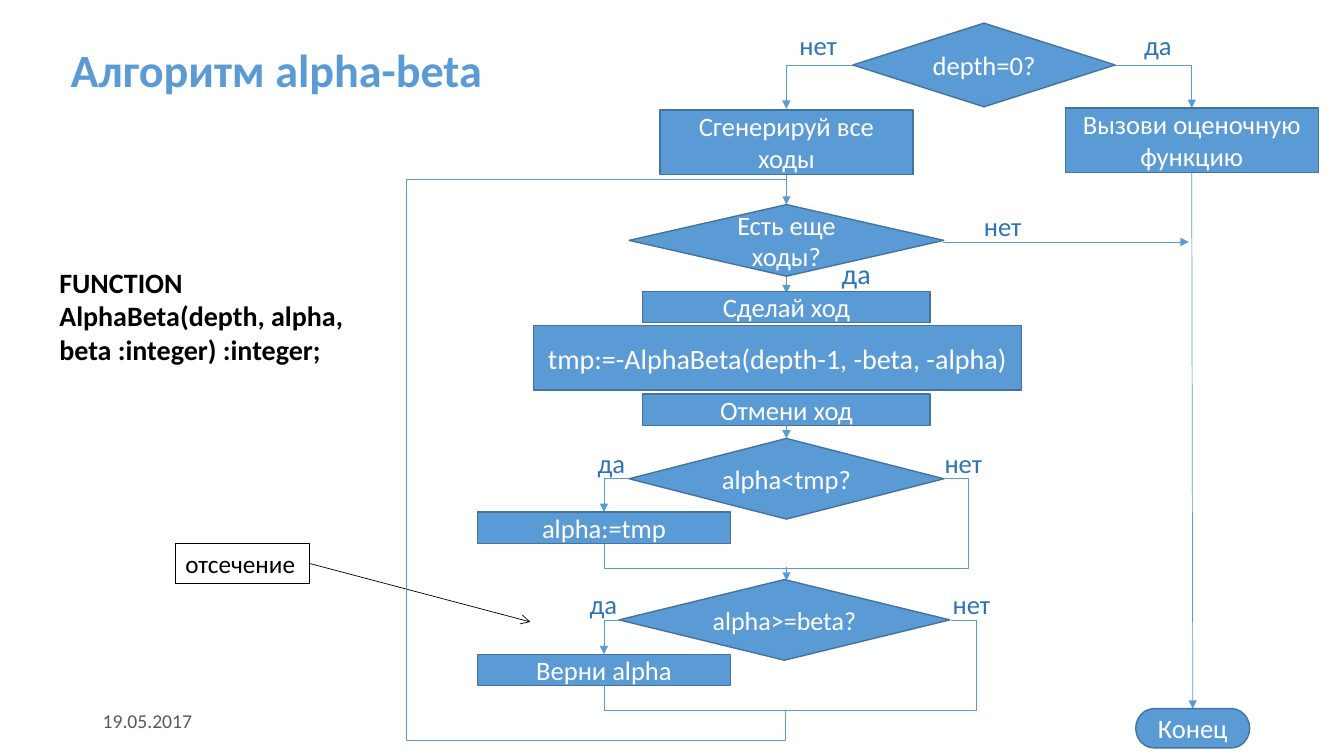
from pptx import Presentation
from pptx.dml.color import RGBColor
from pptx.enum.shapes import MSO_CONNECTOR, MSO_SHAPE
from pptx.enum.text import MSO_ANCHOR, MSO_AUTO_SIZE, PP_ALIGN
from pptx.oxml.ns import qn
from pptx.oxml.xmlchemy import OxmlElement
from pptx.util import Inches, Pt

COLORS = {"accent": "5B9BD5", "edge": "43739E", "answer": "2E75B6",
          "ink": "000000", "date": "595959", "paper": "FFFFFF"}
CELL = Inches(0.1)
TRUNK, BRANCH, EXIT, START = 78, 59.9, 118.2, 97.6
TURN = 2.5

DECISION = MSO_SHAPE.FLOWCHART_DECISION
PROCESS = MSO_SHAPE.FLOWCHART_PROCESS
TERMINATOR = MSO_SHAPE.FLOWCHART_TERMINATOR

STEPS = [
    (DECISION, "depth=0?", START, 2.3, 26, 8.3, 19),
    (PROCESS, "Вызови оценочную функцию", EXIT, 10.7, 25.1, 6.4, 19),
    (PROCESS, "Сгенерируй все ходы", TRUNK, 10.9, 25.1, 6.4, 19),
    (DECISION, "Есть еще ходы?", TRUNK, 20.3, 31.2, 7.1, 19),
    (PROCESS, "Сделай ход", TRUNK, 28.9, 28.5, 3.1, 19),
    (PROCESS, "tmp:=-AlphaBeta(depth-1, -beta, -alpha)", 77.1, 32.3, 48.4, 6.4, 20),
    (PROCESS, "Отмени ход", TRUNK, 39.1, 28.5, 3.1, 19),
    (DECISION, "alpha<tmp?", TRUNK, 43.5, 31.2, 8, 19),
    (PROCESS, "alpha:=tmp", BRANCH, 50.8, 25.1, 3.1, 19),
    (DECISION, "alpha>=beta?", 77.8, 57.5, 32.8, 8, 18.6),
    (PROCESS, "Верни alpha", BRANCH, 64.9, 25.1, 3.1, 19),
    (TERMINATOR, "Конец", 118.3, 70.3, 11.3, 3.9, 19),
]
ANSWERS = [
    ("нет", 78.3, 2.4, 19), ("да", 112.5, 2.4, 19),
    ("нет", 96.6, 20.3, 19), ("да", 82.5, 25, 20),
    ("да", 58.3, 43.8, 19), ("нет", 92.7, 43.8, 19),
    ("да", 57.5, 57.8, 19), ("нет", 93.5, 57.8, 19),
]
ARROWS = [
    ((TRUNK, 17.2), (TRUNK, 20.3)),
    ((TRUNK, 27.3), (TRUNK, 29.1)),
    ((TRUNK, 42.2), (TRUNK, 43.5)),
    ((TRUNK, 56.3), (TRUNK, 57.6)),
    ((93.5, 24), (117.9, 24)),
    ((EXIT, 17.1), (118.3, 70.3)),
]
CORNERS = [
    ((110.5, 6.5), (EXIT, 10.7)),
    ((84.6, 6.5), (TRUNK, 10.8)),
    ((62.4, 47.5), (BRANCH, 50.8)),
    ((61.4, 61.5), (BRANCH, 64.9)),
]
BYPASSES = [((93.6, 47.5), (BRANCH, 53.9)), ((94.3, 61.5), (BRANCH, 68))]
LOOP = [(77.9, 70.4), (77.9, 73.5), (40.3, 73.5), (40.3, 17.8),
        (TRUNK, 17.8), (TRUNK, 20.3)]


def cells(*values):
    return [round(value * CELL) for value in values]


def color(name):
    return RGBColor.from_string(COLORS[name])


def apply_format(target, values):
    for attribute, value in values.items():
        setattr(target, attribute, value)


def write(shape, text, size, ink, frame_format, align=PP_ALIGN.LEFT, bold=False):
    frame = shape.text_frame
    frame.text = text
    apply_format(frame, {"word_wrap": True, **frame_format})
    paragraph = frame.paragraphs[0]
    paragraph.alignment = align
    apply_format(paragraph.font, {"name": "Calibri", "size": Pt(size), "bold": bold})
    paragraph.font.color.rgb = color(ink)


def draw_line(shape, ink, width):
    shape.line.color.rgb = color(ink)
    shape.line.width = Pt(width)


def add_text(slide, text, box, size, ink, frame_format, bold=False):
    label = slide.shapes.add_textbox(*cells(*box))
    write(label, text, size, ink, frame_format, bold=bold)
    return label


def add_step(slide, kind, text, center, top, width, height, size):
    step = slide.shapes.add_shape(kind, *cells(center - width / 2, top, width, height))
    step.shadow.inherit = False
    step.fill.solid()
    step.fill.fore_color.rgb = color("accent")
    draw_line(step, "edge", 1)
    write(step, text, size, "paper", {"vertical_anchor": MSO_ANCHOR.MIDDLE},
          PP_ALIGN.CENTER)


def add_link(slide, start, end, ink="accent", head="triangle", bend=None, adjust=()):
    kind = MSO_CONNECTOR.ELBOW if bend else MSO_CONNECTOR.STRAIGHT
    link = slide.shapes.add_connector(kind, *cells(*start, *end))
    draw_line(link, ink, 0.5)
    properties = link._element.spPr
    if bend:
        geometry = properties.find(qn("a:prstGeom"))
        geometry.set("prst", bend)
        guides = geometry.get_or_add_avLst()
        for number, share in enumerate(adjust, 1):
            guide = OxmlElement("a:gd")
            guide.set("name", f"adj{number}")
            guide.set("fmla", f"val {round(share * 100000)}")
            guides.append(guide)
    if head:
        tail = OxmlElement("a:tailEnd")
        tail.set("type", head)
        properties.find(qn("a:ln")).append(tail)
    properties.append(OxmlElement("a:effectLst"))


def add_bypass(slide, start, end):
    width, height = start[0] - end[0], end[1] - start[1]
    add_link(slide, start, end, head=None, bend="bentConnector4",
             adjust=(-TURN / width, 1 + TURN / height))


def add_loop(slide, points):
    corners = [cells(*point) for point in points]
    builder = slide.shapes.build_freeform(*corners[0])
    builder.add_line_segments(corners[1:], close=False)
    loop = builder.convert_to_shape()
    loop.shadow.inherit = False
    loop.fill.background()
    draw_line(loop, "accent", 0.5)


def add_title(slide, text):
    title = slide.shapes.title
    apply_format(title, dict(zip(("left", "top", "width", "height"),
                                 cells(6, 1.3, 93.7, 11.8))))
    write(title, text, 33, "accent", {"vertical_anchor": MSO_ANCHOR.MIDDLE}, bold=True)
    title.text_frame.paragraphs[0].line_spacing = 0.9


def main():
    deck = Presentation()
    apply_format(deck, {"slide_width": Inches(13.33), "slide_height": Inches(7.5)})
    slide = deck.slides.add_slide(deck.slide_layouts[5])
    add_title(slide, "Алгоритм alpha-beta")

    top = {"vertical_anchor": MSO_ANCHOR.TOP}
    cutoff = add_text(slide, "отсечение", (17.4, 53.9, 13.3, 4), 18, "ink", top)
    draw_line(cutoff, "ink", 0.75)
    add_link(slide, (30.7, 55.9), (52.6, 61.7), "ink", "arrow")
    add_text(slide, "FUNCTION AlphaBeta(depth, alpha, beta :integer) :integer;",
             (4.9, 25.8, 32, 11.1), 20, "ink", top, bold=True)
    add_text(slide, "19.05.2017", (9.2, 69.5, 30, 4), 14, "date",
             {"vertical_anchor": MSO_ANCHOR.MIDDLE})

    add_loop(slide, LOOP)
    for start, end in ARROWS:
        add_link(slide, start, end)
    for start, end in CORNERS:
        add_link(slide, start, end, bend="bentConnector2")
    for start, end in BYPASSES:
        add_bypass(slide, start, end)
    for step in STEPS:
        add_step(slide, *step)
    for text, left, upper, size in ANSWERS:
        add_text(slide, text, (left, upper, 3 + len(text), 4.2), size, "answer",
                 {"word_wrap": False, "auto_size": MSO_AUTO_SIZE.SHAPE_TO_FIT_TEXT})

    deck.save("out.pptx")


if __name__ == "__main__":
    main()
